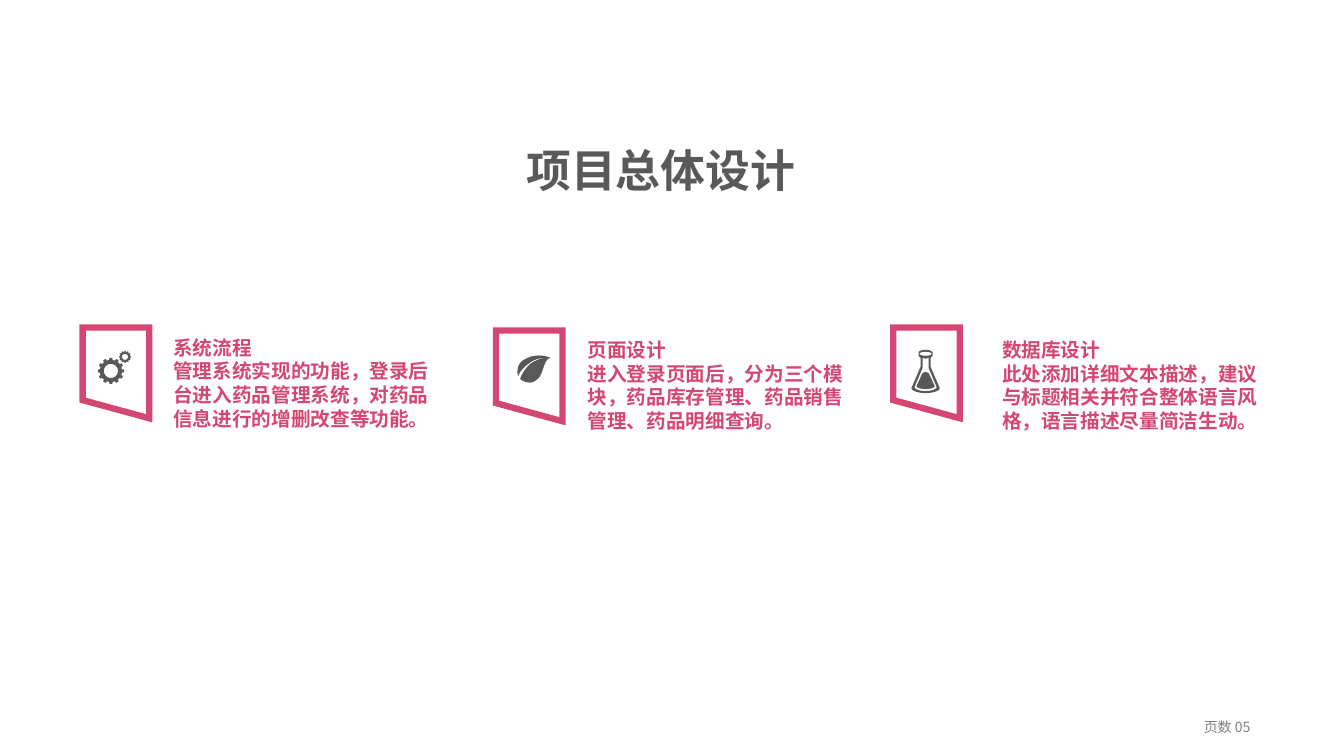
from dataclasses import dataclass
from math import cos, pi, radians, sin

from lxml.etree import SubElement
from pptx import Presentation
from pptx.dml.color import RGBColor
from pptx.enum.lang import MSO_LANGUAGE_ID as Language
from pptx.enum.shapes import MSO_SHAPE as Preset
from pptx.enum.text import MSO_ANCHOR as Anchor, MSO_AUTO_SIZE as AutoSize, PP_ALIGN as Align
from pptx.oxml.ns import qn
from pptx.slide import Slide
from pptx.text.text import TextFrame, _Paragraph as Paragraph
from pptx.util import Inches, Pt

COLORS = {"accent": "D54773", "dark": "595959", "muted": "808080"}
FONT = "Noto Sans CJK SC"
LINE_RATIO = 1.21
FRAME_SIZE = (0.66, 0.9)
TEXT_SIZE = (2.75, 1.04)

Point = tuple[float, float]
Contour = list[Point]


@dataclass(frozen=True)
class Card:
    """A framed icon with a heading and a description."""

    frame: Point
    text: Point
    heading: str
    detail: str


@dataclass(frozen=True)
class Gear:
    """A toothed wheel with a round hole."""

    center: Point
    outer: float
    root: float
    hole: float


CARDS = [
    Card((0.82, 3.25), (1.62, 3.28), "系统流程",
         "管理系统实现的功能，登录后台进入药品管理系统，对药品信息进行的增删改查等功能。"),
    Card((4.92, 3.28), (5.73, 3.3), "页面设计",
         "进入登录页面后，分为三个模块，药品库存管理、药品销售管理、药品明细查询。"),
    Card((8.86, 3.25), (9.84, 3.3), "数据库设计",
         "此处添加详细文本描述，建议与标题相关并符合整体语言风格，语言描述尽量简洁生动。"),
]
GEARS = [
    Gear((1.1, 3.68), 0.13, 0.11, 0.07),
    Gear((1.24, 3.54), 0.06, 0.05, 0.03),
]
LEAF_START = (5.26, 3.61)
LEAF_CURVES = [
    ((5.3, 3.58), (5.35, 3.56), (5.4, 3.55)),
    ((5.35, 3.55), (5.29, 3.57), (5.24, 3.61)),
    ((5.2, 3.64), (5.16, 3.68), (5.14, 3.73)),
    ((5.12, 3.68), (5.14, 3.61), (5.18, 3.58)),
    ((5.32, 3.48), (5.46, 3.55), (5.46, 3.55)),
    ((5.38, 3.57), (5.4, 3.72), (5.32, 3.77)),
    ((5.28, 3.81), (5.21, 3.8), (5.16, 3.76)),
    ((5.16, 3.75), (5.19, 3.67), (5.26, 3.61)),
]


def arc(center: Point, radii: Point, start: int = 0, end: int = 360) -> Contour:
    """Return points along an elliptical arc, clockwise in degrees."""
    return [(center[0] + radii[0] * cos(radians(angle)), center[1] + radii[1] * sin(radians(angle)))
            for angle in range(start, end + 1, 10)]


def gear_contours(gear: Gear, teeth: int = 12) -> list[Contour]:
    """Return the toothed rim and the hole of a gear."""
    rim = []
    for tooth in range(teeth):
        for offset, radius in ((-0.3, gear.root), (-0.2, gear.outer), (0.2, gear.outer), (0.3, gear.root)):
            angle = 2 * pi * (tooth + offset) / teeth
            rim.append((gear.center[0] + radius * cos(angle), gear.center[1] + radius * sin(angle)))
    return [rim, arc(gear.center, (gear.hole, gear.hole))]


def leaf_contour(steps: int = 10) -> Contour:
    """Return points along the curves of the leaf."""
    points = [LEAF_START]
    for curve in LEAF_CURVES:
        corners = (points[-1], *curve)
        for step in range(1, steps + 1):
            t = step / steps
            weights = ((1 - t) ** 3, 3 * t * (1 - t) ** 2, 3 * t * t * (1 - t), t ** 3)
            points.append((sum(w * c[0] for w, c in zip(weights, corners)),
                           sum(w * c[1] for w, c in zip(weights, corners))))
    return points


def flask_contours() -> list[Contour]:
    """Return the glass, its hollow parts and the liquid of the flask."""
    axis = 9.18
    glass = [*arc((axis, 3.5), (0.07, 0.03), 180, 360), (9.25, 3.53), (9.23, 3.55), (9.23, 3.64),
             *arc((axis, 3.85), (0.14, 0.05), 0, 180), (9.13, 3.64), (9.13, 3.55), (9.11, 3.53)]
    mouth = arc((axis, 3.51), (0.06, 0.02))
    hollow = [(9.15, 3.55), (axis, 3.56), (9.21, 3.55), (9.21, 3.65),
              *arc((axis, 3.84), (0.11, 0.04), 0, 180), (9.15, 3.65)]
    liquid = [(9.15, 3.7), (axis, 3.69), (9.21, 3.7), *arc((axis, 3.83), (0.09, 0.03), 0, 180)]
    return [glass, mouth, hollow, liquid]


def draw_icon(page: Slide, contours: list[Contour]) -> None:
    """Draw contours as one filled outline."""
    outlines = [[(Inches(x), Inches(y)) for x, y in contour] for contour in contours]
    builder = page.shapes.build_freeform(*outlines[0][0])
    builder.add_line_segments(outlines[0][1:], close=True)
    for outline in outlines[1:]:
        builder.move_to(*outline[0])
        builder.add_line_segments(outline[1:], close=True)
    icon = builder.convert_to_shape()
    icon.shadow.inherit = False
    icon.fill.solid()
    icon.fill.fore_color.rgb = RGBColor.from_string(COLORS["dark"])
    icon.line.fill.background()


def draw_frame(page: Slide, place: Point) -> None:
    """Draw a slanted frame with sharp corners."""
    frame = page.shapes.add_shape(Preset.FLOWCHART_MANUAL_INPUT, *map(Inches, place + FRAME_SIZE))
    frame.shadow.inherit = False
    frame.fill.background()
    frame.line.color.rgb = RGBColor.from_string(COLORS["accent"])
    frame.line.width = Pt(4.5)
    properties = frame.element.spPr
    properties.find(qn("a:xfrm")).set("flipV", "1")
    SubElement(properties.find(qn("a:ln")), qn("a:miter"), lim="800000")


def add_span(para: Paragraph, text: str, size: float, color: str, bold: bool, align: Align) -> None:
    """Add one formatted run to a paragraph."""
    para.alignment = align
    para.line_spacing = Pt(size * LINE_RATIO)
    span = para.add_run()
    span.text = text
    span.font.size = Pt(size)
    span.font.bold = bold
    span.font.color.rgb = RGBColor.from_string(COLORS[color])
    span.font.language_id = Language.SIMPLIFIED_CHINESE
    span.font.name = FONT
    SubElement(span._r.get_or_add_rPr(), qn("a:ea"), typeface=FONT)


def set_frame(frame: TextFrame, wrap: bool, anchor: Anchor) -> None:
    """Set wrapping, anchor and fixed size of a text frame."""
    frame.word_wrap = wrap
    frame.auto_size = AutoSize.NONE
    frame.vertical_anchor = anchor


def draw_card(page: Slide, card: Card) -> None:
    """Draw the frame and text of a card."""
    draw_frame(page, card.frame)
    box = page.shapes.add_textbox(*map(Inches, card.text + TEXT_SIZE))
    set_frame(box.text_frame, True, Anchor.TOP)
    add_span(box.text_frame.paragraphs[0], card.heading, 14, "accent", True, Align.LEFT)
    add_span(box.text_frame.add_paragraph(), card.detail, 14, "accent", True, Align.LEFT)


def main() -> None:
    """Build and save the slide."""
    deck = Presentation()
    deck.slide_width, deck.slide_height = Inches(13.33), Inches(7.5)
    page = deck.slides.add_slide(deck.slide_layouts[5])

    title = page.shapes.title
    title.left, title.top, title.width, title.height = map(Inches, (5.12, 1.36, 2.87, 0.64))
    set_frame(title.text_frame, False, Anchor.MIDDLE)
    add_span(title.text_frame.paragraphs[0], "项目总体设计", 32, "dark", True, Align.CENTER)

    number = page.shapes.add_textbox(*map(Inches, (11.43, 7.08, 1.19, 0.27)))
    set_frame(number.text_frame, True, Anchor.MIDDLE)
    number.text_frame.margin_right = Inches(0.22)
    add_span(number.text_frame.paragraphs[0], "页数 05", 10, "muted", False, Align.RIGHT)

    for card in CARDS:
        draw_card(page, card)
    for contours in [*map(gear_contours, GEARS), [leaf_contour()], flask_contours()]:
        draw_icon(page, contours)
    deck.save("out.pptx")


if __name__ == "__main__":
    main()
